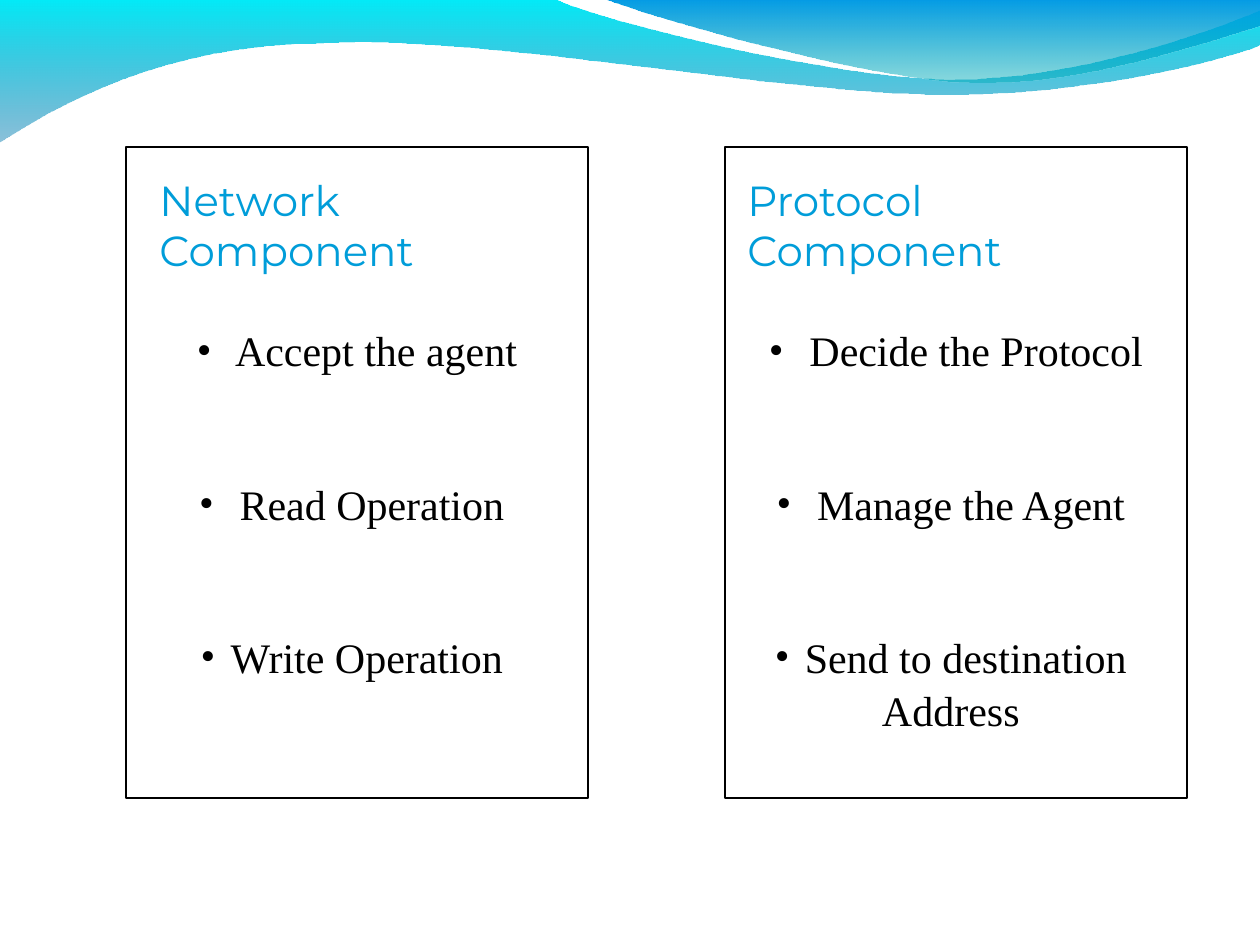
from lxml import etree
from pptx import Presentation
from pptx.dml.color import RGBColor as RGB
from pptx.enum.shapes import MSO_SHAPE as SHAPE
from pptx.enum.text import MSO_ANCHOR as ANCHOR, MSO_AUTO_SIZE as FIT, PP_ALIGN as ALIGN
from pptx.oxml.ns import qn
from pptx.util import Pt

PX = 914400 / 126
COLORS = {
    "cyan": "00EBF8", "teal": "0079AF", "blue": "009BE5", "sea": "00ADB6",
    "title": "009DD9", "black": "000000", "white": "FFFFFF",
}


def px(n):
    return round(n * PX)


def rgb(name):
    return RGB.from_string(COLORS[name])


prs = Presentation()
prs.slide_width, prs.slide_height = px(1260), px(945)
s = prs.slides.add_slide(prs.slide_layouts[6])

# Header waves: one point is a line, three points are a Bezier curve
WAVES = [
    ("cyan", "teal", (0, -1), [
        [(554, -1)],
        [(600, 21), (837, 79), (955, 79)],
        [(1075, 79), (1207, 33), (1260, 11)],
        [(1261, 45)],
        [(1239, 55), (1096, 96), (940, 94)],
        [(783, 94), (481, 35), (324, 43)],
        [(163, 44), (58, 105), (-1, 142)],
    ]),
    ("blue", "sea", (604, -1), [
        [(641, 14), (859, 78), (969, 82)],
        [(1079, 87), (1211, 40), (1260, 26)],
        [(1260, 0)],
    ]),
]
for top, bottom, start, segments in WAVES:
    fb = s.shapes.build_freeform(*start, scale=PX)
    fb.add_line_segments([pt for seg in segments for pt in seg], close=True)
    sp = fb.convert_to_shape()
    sp.shadow.inherit = False
    sp.line.fill.background()
    sp.fill.gradient()
    sp.fill.gradient_angle = 270
    for stop, name in zip(sp.fill.gradient_stops, (top, bottom)):
        stop.color.rgb = rgb(name)
    spPr = sp._element.spPr
    # The lower end fades to 45 % opacity
    end_color = spPr.findall(".//" + qn("a:srgbClr"))[-1]
    etree.SubElement(end_color, qn("a:alpha"), val="45000")
    # Join each three line ends into one curve
    lines = iter(spPr.findall(".//" + qn("a:lnTo")))
    for seg in segments:
        parts = [next(lines) for _ in seg]
        if len(parts) == 3:
            curve = etree.Element(qn("a:cubicBezTo"))
            parts[0].addprevious(curve)
            for part in parts:
                curve.append(part[0])
                part.getparent().remove(part)

# Component panels: left edge, title box (left, width), title, items
PANELS = [
    (126, 147, 420, "Network Component",
     [" Accept the agent", " Read Operation ", "Write Operation "]),
    (725, 735, 431, "Protocol Component",
     [" Decide the Protocol", " Manage the Agent ", "Send to destination ", "Address "]),
]
BULLETED = 3
HANG = px(30)
for left, title_left, title_width, title, items in PANELS:
    # Framed list
    sp = s.shapes.add_shape(SHAPE.RECTANGLE, px(left), px(147), px(462), px(651))
    sp.shadow.inherit = False
    sp.fill.solid()
    sp.fill.fore_color.rgb = rgb("white")
    sp.line.color.rgb = rgb("black")
    sp.line.width = Pt(0.75)
    tf = sp.text_frame
    tf.word_wrap = True
    tf.vertical_anchor = ANCHOR.TOP
    tf.margin_top = px(178)
    for i, item in enumerate(items):
        p = tf.paragraphs[0] if i == 0 else tf.add_paragraph()
        p.text = item
        p.alignment = ALIGN.CENTER
        if i:
            p.space_before = Pt(58.7 if i < BULLETED else 1.5)
        if i < BULLETED:
            pPr = p._p.get_or_add_pPr()
            pPr.set("marL", str(HANG))
            pPr.set("indent", str(-HANG))
            etree.SubElement(pPr, qn("a:buFont"), typeface="Times New Roman")
            etree.SubElement(pPr, qn("a:buChar"), char="•")
        font = p.runs[0].font
        font.name, font.size = "Times New Roman", Pt(24)
        font.color.rgb = rgb("black")

    # Title
    tb = s.shapes.add_textbox(px(title_left), px(168), px(title_width), px(112))
    tf = tb.text_frame
    tf.word_wrap = False
    tf.auto_size = FIT.SHAPE_TO_FIT_TEXT
    tf.text = title
    font = tf.paragraphs[0].runs[0].font
    font.name, font.size = "Montserrat", Pt(24)
    font.color.rgb = rgb("title")

prs.save("out.pptx")
